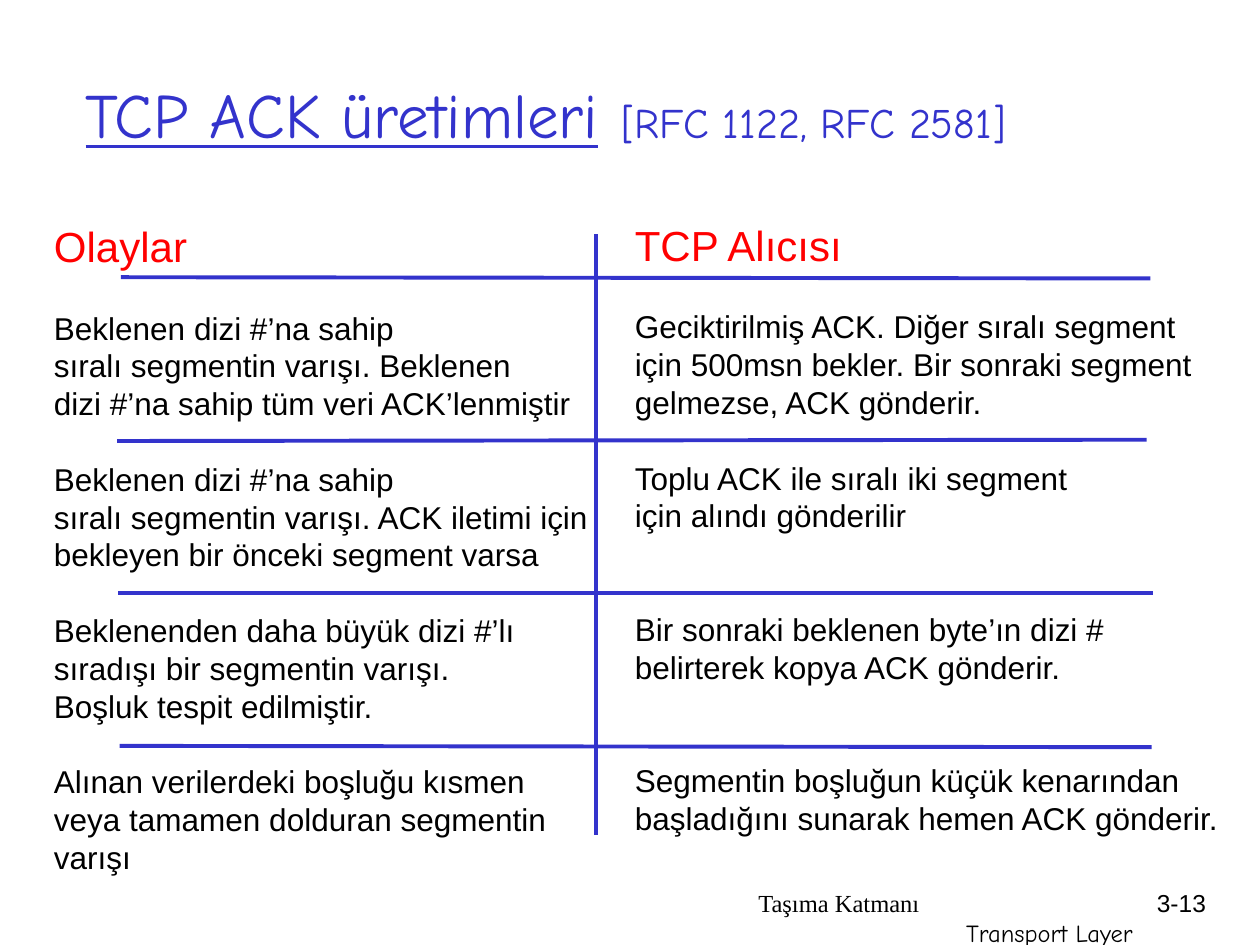
from dataclasses import dataclass

from lxml import etree
from pptx import Presentation
from pptx import util as u
from pptx.dml.color import RGBColor
from pptx.enum import shapes, text
from pptx.oxml.ns import qn


@dataclass(frozen=True)
class Theme:
    blue: str = "3333CC"
    red: str = "FF0000"
    black: str = "000000"
    sans: str = "Arial"
    comic: str = "Comic Neue"
    serif: str = "Times New Roman"
    title: float = 36
    title_gap: float = 40
    heading: float = 24
    body: float = 18
    footer: float = 14
    leading: float = 1.2
    rule: float = 2.25


theme = Theme()


def add_text(p, words, size=theme.body, font=theme.sans, color=theme.black, underline=None):
    r = p.add_run()
    r.text = words
    r.font.size = u.Pt(size)
    r.font.name = font
    r.font.color.rgb = RGBColor.from_string(color)
    r.font.underline = underline
    return r


def add_box(left, top, width, height):
    sp = s.shapes.add_textbox(*[u.Inches(v) for v in (left, top, width, height)])
    sp.text_frame.word_wrap = True
    return sp.text_frame


prs = Presentation()
prs.slide_width, prs.slide_height = u.Inches(10), u.Inches(7.5)
s = prs.slides.add_slide(prs.slide_layouts[5])

# Footer and page number
tf = add_box(5.92, 7, 3.17, 0.5)
add_text(tf.paragraphs[0], "Taşıma Katmanı", size=theme.footer, font=theme.serif)
p = tf.add_paragraph()
p.alignment = text.PP_ALIGN.RIGHT
add_text(p, "Transport Layer", size=theme.footer, font=theme.comic)

p = add_box(8.93, 7, 0.74, 0.5).paragraphs[0]
p.alignment = text.PP_ALIGN.RIGHT
add_text(p, "3-13", size=theme.footer)

# Title
sp = s.shapes.title
sp.left, sp.top = u.Inches(0.58), u.Inches(0.25)
sp.width, sp.height = u.Inches(8.5), u.Inches(1.25)
tf = sp.text_frame
tf.auto_size = text.MSO_AUTO_SIZE.NONE
tf.vertical_anchor = text.MSO_ANCHOR.MIDDLE
p = tf.paragraphs[0]
p.alignment = text.PP_ALIGN.LEFT
title_style = dict(font=theme.comic, color=theme.blue)
add_text(p, "TCP ACK üretimleri", size=theme.title, underline=True, **title_style)
add_text(p, " ", size=theme.title_gap, underline=False, **title_style)
add_text(p, "[RFC 1122, RFC 2581]", size=theme.heading, underline=False, **title_style)

# Two columns: heading, then one block of lines per row
columns = [
    ((0.33, 1.7, 4.52, 5.6), "Olaylar", [
        ["Beklenen dizi #’na sahip", "sıralı segmentin varışı. Beklenen",
         "dizi #’na sahip tüm veri ACK’lenmiştir"],
        ["Beklenen dizi #’na sahip", "sıralı segmentin varışı. ACK iletimi için",
         "bekleyen bir önceki segment varsa"],
        ["Beklenenden daha büyük dizi #’lı", "sıradışı bir segmentin varışı.",
         "Boşluk tespit edilmiştir."],
        ["Alınan verilerdeki boşluğu kısmen", "veya tamamen dolduran segmentin",
         "varışı"],
    ]),
    ((4.94, 1.69, 4.85, 5.6), "TCP Alıcısı", [
        ["Geciktirilmiş ACK. Diğer sıralı segment",
         "için 500msn bekler. Bir sonraki segment", "gelmezse, ACK gönderir."],
        ["Toplu ACK ile sıralı iki segment", "için alındı gönderilir"],
        ["Bir sonraki beklenen byte’ın dizi #", "belirterek kopya ACK gönderir."],
        ["Segmentin boşluğun küçük kenarından",
         "başladığını sunarak hemen ACK gönderir."],
    ]),
]
line_height = theme.body * theme.leading
row_lines = 4  # three lines of text and one line of gap

for place, heading, blocks in columns:
    tf = add_box(*place)
    p = tf.paragraphs[0]
    p.line_spacing = u.Pt(theme.heading * theme.leading)
    add_text(p, heading, size=theme.heading, color=theme.red)
    gap = 1
    for block in blocks:
        for i, line in enumerate(block):
            p = tf.add_paragraph()
            p.line_spacing = u.Pt(line_height)
            p.space_before = u.Pt(0 if i else gap * line_height)
            add_text(p, line)
        gap = row_lines - len(block)

# Row rules and the column divider
rules = [
    (0.96, 2.2, 9.13, 2.21),
    (0.93, 3.5, 9.1, 3.49),
    (0.94, 4.71, 9.15, 4.71),
    (0.95, 5.92, 9.14, 5.93),
    (4.73, 1.86, 4.73, 6.63),
]
for ends in rules:
    cx = s.shapes.add_connector(shapes.MSO_CONNECTOR.STRAIGHT, *[u.Inches(v) for v in ends])
    cx.line.color.rgb = RGBColor.from_string(theme.blue)
    cx.line.width = u.Pt(theme.rule)
    etree.SubElement(cx._element.spPr, qn("a:effectLst"))

prs.save("out.pptx")
